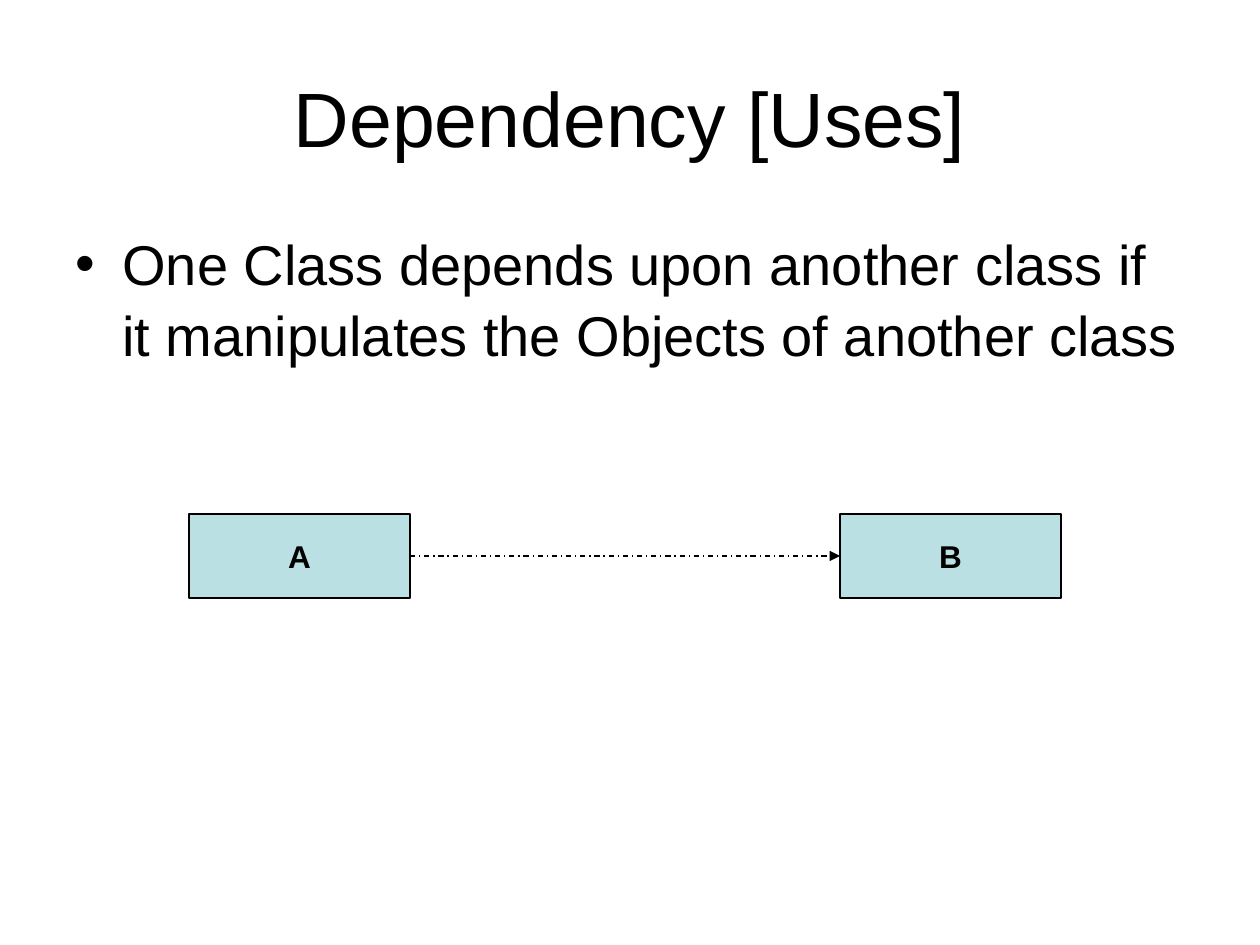
"""Build a slide that explains the dependency relation between two classes."""
from lxml.etree import SubElement
from pptx import Presentation
from pptx.dml.color import RGBColor
from pptx.enum.dml import MSO_LINE
from pptx.enum.shapes import MSO_CONNECTOR, MSO_SHAPE
from pptx.enum.text import MSO_ANCHOR, PP_ALIGN
from pptx.oxml.ns import qn
from pptx.util import Pt

SCALE = 914400 / 126
COLORS = {"ink": "000000", "box": "BBE0E3"}


def px(*lengths):
    return [round(length * SCALE) for length in lengths]


def write(shape, text, size, bold=False, align=PP_ALIGN.CENTER, anchor=MSO_ANCHOR.MIDDLE, wrap=True):
    shape.text_frame.word_wrap = wrap
    shape.text_frame.vertical_anchor = anchor
    paragraph = shape.text_frame.paragraphs[0]
    paragraph.text = text
    paragraph.alignment = align
    paragraph.font.name = "Arial"
    paragraph.font.size = Pt(size)
    paragraph.font.bold = bold
    paragraph.font.color.rgb = RGBColor.from_string(COLORS["ink"])
    return paragraph


presentation = Presentation()
presentation.slide_width, presentation.slide_height = px(1260, 945)
slide = presentation.slides.add_slide(presentation.slide_layouts[6])

title = slide.shapes.add_textbox(*px(63, 38, 1134, 157))
write(title, "Dependency [Uses]", 44)

body = slide.shapes.add_textbox(*px(63, 220, 1134, 624))
definition = write(
    body,
    "One Class depends upon another class if it manipulates the Objects of another class",
    32,
    align=PP_ALIGN.LEFT,
    anchor=MSO_ANCHOR.TOP,
)
definition.space_before = Pt(8)
definition.line_spacing = 1.05
properties = definition._p.get_or_add_pPr()
indent = px(47)[0]
properties.set("marL", str(indent))
properties.set("indent", str(-indent))
SubElement(properties, qn("a:buFont"), typeface="Arial")
SubElement(properties, qn("a:buChar"), char="•")
properties.append(properties.find(qn("a:defRPr")))

boxes = []
for name, left in (("A", 189), ("B", 840)):
    box = slide.shapes.add_shape(MSO_SHAPE.RECTANGLE, *px(left, 514, 221, 84))
    box.shadow.inherit = False
    box.fill.solid()
    box.fill.fore_color.rgb = RGBColor.from_string(COLORS["box"])
    box.line.color.rgb = RGBColor.from_string(COLORS["ink"])
    box.line.width = Pt(0.75)
    write(box, name, 18, bold=True, wrap=False)
    boxes.append(box)

dependency = slide.shapes.add_connector(MSO_CONNECTOR.STRAIGHT, *px(410, 556, 840, 556))
dependency.begin_connect(boxes[0], 3)
dependency.end_connect(boxes[1], 1)
dependency.line.color.rgb = RGBColor.from_string(COLORS["ink"])
dependency.line.width = Pt(0.75)
dependency.line.dash_style = MSO_LINE.DASH_DOT
SubElement(dependency.line._get_or_add_ln(), qn("a:tailEnd"), type="triangle")
SubElement(dependency._element.spPr, qn("a:effectLst"))

presentation.save("out.pptx")
